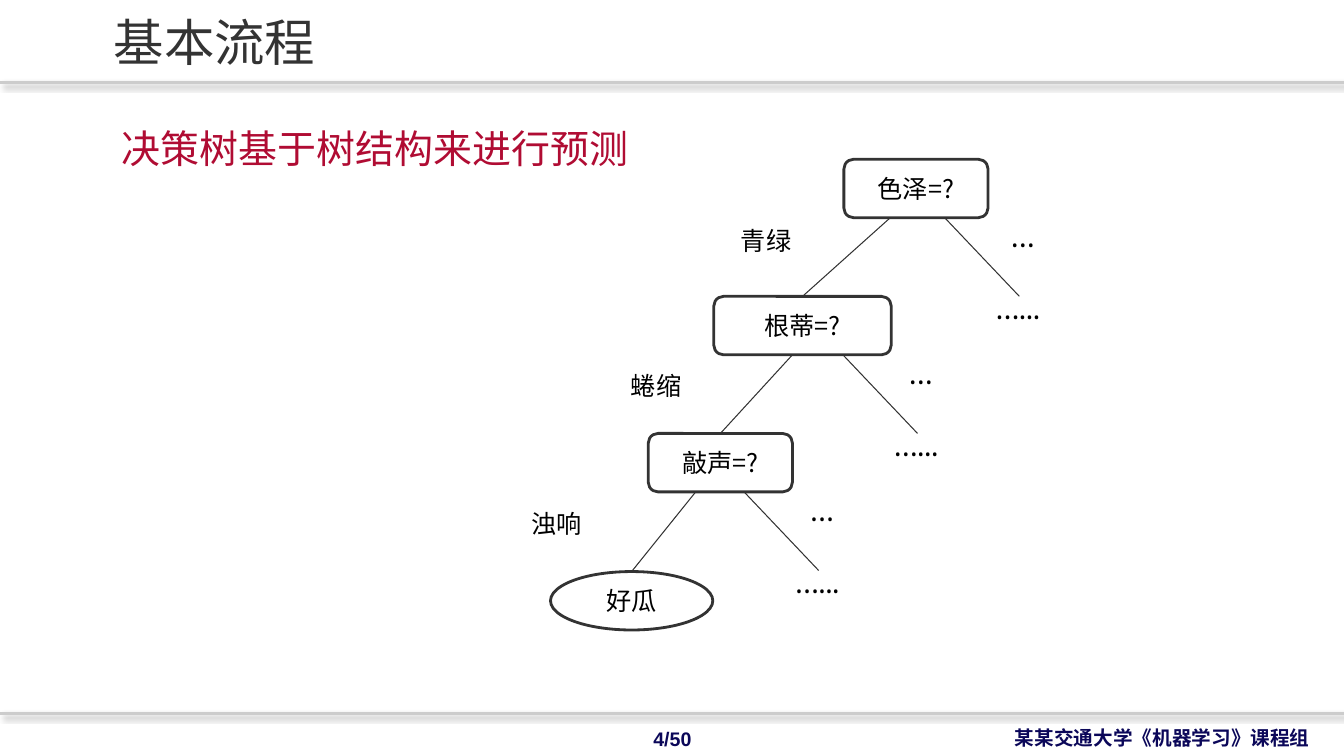
"""Build the decision tree slide on the basic procedure."""
from dataclasses import dataclass

from lxml.etree import SubElement
from pptx import Presentation
from pptx.dml.color import RGBColor
from pptx.enum.shapes import MSO_CONNECTOR, MSO_SHAPE
from pptx.enum.text import MSO_ANCHOR, PP_ALIGN
from pptx.oxml.ns import qn
from pptx.shapes.autoshape import Shape
from pptx.shapes.connector import Connector
from pptx.slide import Slide
from pptx.util import Inches, Pt

BLACK = RGBColor(0x00, 0x00, 0x00)
WHITE = RGBColor(0xFF, 0xFF, 0xFF)
DARK_GREY = RGBColor(0x33, 0x33, 0x33)
BRANCH_GREY = RGBColor(0x32, 0x32, 0x32)
RULE_GREY = RGBColor(0xCC, 0xCC, 0xCC)
NAVY = RGBColor(0x0B, 0x07, 0x59)
CRIMSON = RGBColor(0xB0, 0x0C, 0x33)

SLIDE_WIDTH = 13.33
NODE_HEIGHT = 0.58
BRANCH_DROP = 0.78


@dataclass(frozen=True)
class TextStyle:
    font: str
    size: float
    color: RGBColor
    bold: bool = False
    alignment: PP_ALIGN = PP_ALIGN.LEFT
    anchor: MSO_ANCHOR = MSO_ANCHOR.TOP
    line_spacing: float = 1.0
    wrap: bool = True


@dataclass(frozen=True)
class Label:
    text: str
    left: float
    top: float
    width: float
    height: float
    style: TextStyle


@dataclass(frozen=True)
class Node:
    text: str
    left: float
    top: float
    width: float
    kind: MSO_SHAPE = MSO_SHAPE.ROUNDED_RECTANGLE


@dataclass(frozen=True)
class Branch:
    answer: str
    answer_left: float
    answer_top: float
    left_start: float
    right_start: float


TITLE = TextStyle("Noto Sans CJK SC", 36, DARK_GREY, anchor=MSO_ANCHOR.MIDDLE, line_spacing=0.85)
BODY = TextStyle("DejaVu Sans", 27.8, CRIMSON, line_spacing=0.85)
FOOTER = TextStyle("Arial", 14, NAVY, True, PP_ALIGN.RIGHT, MSO_ANCHOR.MIDDLE)
PAGE = TextStyle("Arial", 14, NAVY, True, PP_ALIGN.CENTER, MSO_ANCHOR.MIDDLE)
NODE = TextStyle("Noto Sans CJK SC", 18, BLACK, False, PP_ALIGN.CENTER, MSO_ANCHOR.MIDDLE)
ANSWER = TextStyle("Noto Sans CJK SC", 18, BLACK, wrap=False)
DOTS = TextStyle("Cambria", 24, BLACK, wrap=False)

RULE_TOPS = (0.82, 7.08)
FRAME_LABELS = (
    Label("某某交通大学《机器学习》课程组", 8.88, 7.15, 4.21, 0.34, FOOTER),
    Label("4/50", 6.05, 7.16, 1.24, 0.34, PAGE),
    Label("基本流程", 1.03, 0.03, 7.87, 0.86, TITLE),
    Label("决策树基于树结构来进行预测", 1.11, 1.26, 9.44, 0.5, BODY),
)
NODES = (
    Node("色泽=?", 8.37, 1.58, 1.43),
    Node("根蒂=?", 7.08, 2.94, 1.76),
    Node("敲声=?", 6.43, 4.3, 1.43),
    Node("好瓜", 5.46, 5.67, 1.61, MSO_SHAPE.OVAL),
)
BRANCHES = (
    Branch("青绿", 7.25, 2.19, 8.83, 9.37),
    Branch("蜷缩", 6.16, 3.62, 7.86, 8.36),
    Branch("浊响", 5.17, 4.99, 6.9, 7.38),
)


def write_text(shape: Shape, text: str, style: TextStyle) -> None:
    """Put one styled paragraph into a shape."""
    frame = shape.text_frame
    paragraph = frame.paragraphs[0]
    run = paragraph.add_run()
    run.text = text
    formats = {
        frame: {"word_wrap": style.wrap, "vertical_anchor": style.anchor},
        paragraph: {"alignment": style.alignment, "line_spacing": style.line_spacing},
        run.font: {"name": style.font, "size": Pt(style.size), "bold": style.bold},
    }
    for target, values in formats.items():
        for name, value in values.items():
            setattr(target, name, value)
    run.font.color.rgb = style.color
    SubElement(run.font._element, qn("a:ea"), typeface=style.font)


def add_label(slide: Slide, label: Label) -> None:
    """Add a text box."""
    box = slide.shapes.add_textbox(
        Inches(label.left), Inches(label.top), Inches(label.width), Inches(label.height)
    )
    write_text(box, label.text, label.style)


def add_node(slide: Slide, node: Node) -> Shape:
    """Add an outlined tree node."""
    shape = slide.shapes.add_shape(
        node.kind, Inches(node.left), Inches(node.top), Inches(node.width), Inches(NODE_HEIGHT)
    )
    shape.shadow.inherit = False
    shape.fill.solid()
    shape.fill.fore_color.rgb = WHITE
    shape.line.color.rgb = DARK_GREY
    shape.line.width = Pt(2)
    write_text(shape, node.text, NODE)
    return shape


def add_line(
    slide: Slide, start: tuple[float, float], end: tuple[float, float],
    color: RGBColor, width: float, shadow: bool = False,
) -> Connector:
    """Add a straight line, with a soft shadow if asked."""
    line = slide.shapes.add_connector(
        MSO_CONNECTOR.STRAIGHT, *(Inches(value) for value in (*start, *end))
    )
    line.line.color.rgb = color
    line.line.width = Pt(width)
    effects = SubElement(line._element.spPr, qn("a:effectLst"))
    if shadow:
        outer = SubElement(
            effects, qn("a:outerShdw"), blurRad=str(Pt(4)), dist=str(Pt(3)), dir="2700000"
        )
        black = SubElement(outer, qn("a:srgbClr"), val=str(BLACK))
        SubElement(black, qn("a:alpha"), val="40000")
    return line


def add_branch(slide: Slide, branch: Branch, parent: Node, child: Node, child_shape: Shape) -> None:
    """Join a node to its child and add the branch left open on the right."""
    bottom = parent.top + NODE_HEIGHT
    right = branch.right_start
    child_middle = child.left + child.width / 2
    joined = add_line(
        slide, (branch.left_start, bottom), (child_middle, child.top), BRANCH_GREY, 0.75
    )
    joined.end_connect(child_shape, 0)
    add_line(slide, (right, bottom), (right + 0.74, bottom + BRANCH_DROP), BRANCH_GREY, 0.75)
    for label in (
        Label(branch.answer, branch.answer_left, branch.answer_top, 0.71, 0.4, ANSWER),
        Label("…...", right + 0.39, bottom + 0.63, 0.79, 0.5, DOTS),
        Label("…", right + 0.54, bottom - 0.09, 0.54, 0.5, DOTS),
    ):
        add_label(slide, label)


def main() -> None:
    """Build and save the presentation."""
    presentation = Presentation()
    presentation.slide_width = Inches(SLIDE_WIDTH)
    presentation.slide_height = Inches(7.5)
    slide = presentation.slides.add_slide(presentation.slide_layouts[6])
    for top in RULE_TOPS:
        add_line(slide, (0, top), (SLIDE_WIDTH, top), RULE_GREY, 2, shadow=True)
    for label in FRAME_LABELS:
        add_label(slide, label)
    node_shapes = [add_node(slide, node) for node in NODES]
    for branch, parent, child, child_shape in zip(BRANCHES, NODES, NODES[1:], node_shapes[1:]):
        add_branch(slide, branch, parent, child, child_shape)
    presentation.save("out.pptx")


if __name__ == "__main__":
    main()
